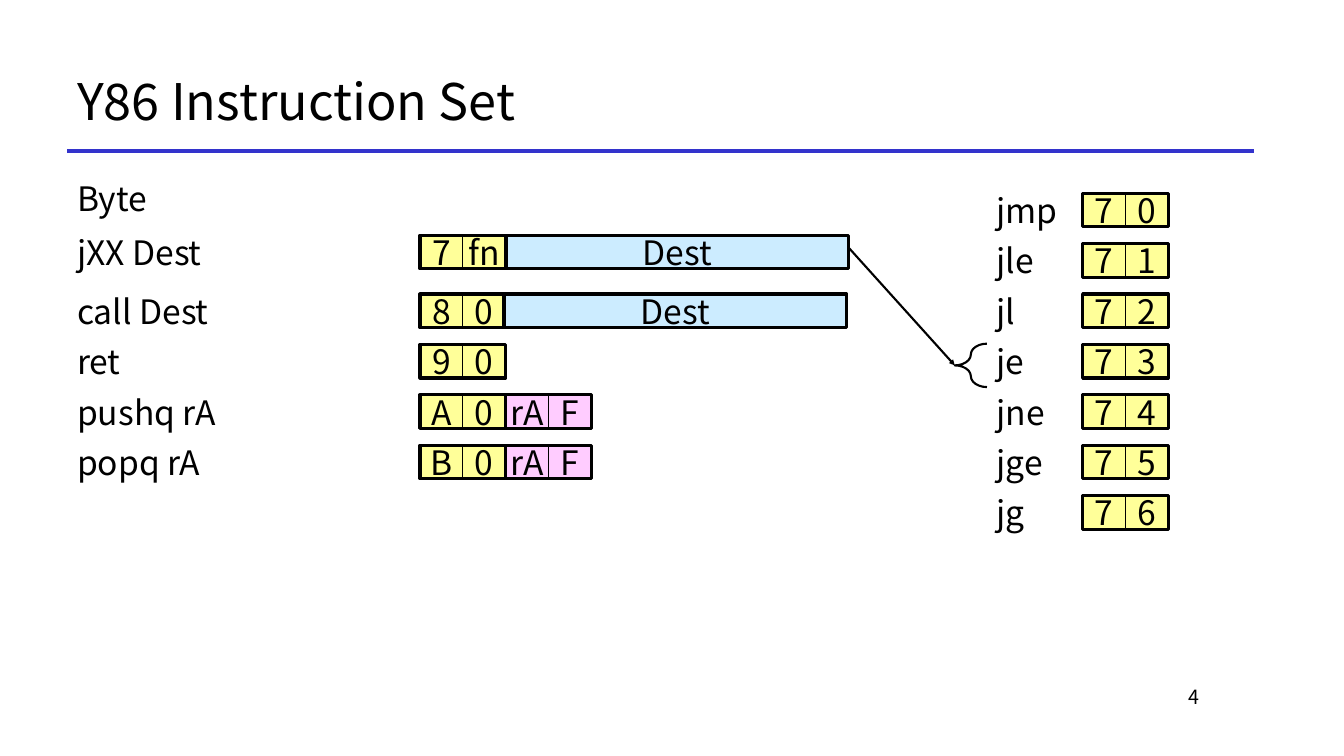
from pptx import Presentation
from pptx.dml.color import RGBColor
from pptx.enum.shapes import MSO_CONNECTOR as Conn, MSO_SHAPE as Form
from pptx.enum.text import MSO_ANCHOR as Anchor, PP_ALIGN as Align
from pptx.oxml.ns import qn
from pptx.util import Pt
from lxml.etree import SubElement as Sub


def tint(code):
    return RGBColor.from_string(code)


class Board:
    font = "Noto Sans CJK KR"
    ink = "000000"
    size = 24
    high = 24
    cell = 30.6

    def __init__(self, slide):
        self.shapes = slide.shapes

    def letter(self, frame, text, size, align, anchor, wrap):
        frame.word_wrap = wrap
        frame.vertical_anchor = anchor
        para = frame.paragraphs[0]
        para.text = text
        para.alignment = align
        para.font.name = self.font
        para.font.size = Pt(size)
        para.font.color.rgb = tint(self.ink)

    def text(self, x, y, w, h, text, size, align=Align.LEFT, anchor=Anchor.TOP):
        box = self.shapes.add_textbox(Pt(x), Pt(y), Pt(w), Pt(h))
        self.letter(box.text_frame, text, size, align, anchor, True)

    def shape(self, form, x, y, w, h, fill=None, width=None):
        item = self.shapes.add_shape(form, Pt(x), Pt(y), Pt(w), Pt(h))
        item.shadow.inherit = False
        if fill:
            item.fill.solid()
            item.fill.fore_color.rgb = tint(fill)
        else:
            item.fill.background()
        if width:
            item.line.color.rgb = tint(self.ink)
            item.line.width = Pt(width)
        else:
            item.line.fill.background()
        return item

    def label(self, x, y, text):
        item = self.shape(Form.RECTANGLE, x, y, 191.5, self.high, "FFFFFF")
        self.letter(item.text_frame, text, self.size, Align.LEFT, Anchor.MIDDLE, True)

    def field(self, x, y, w, text, fill, width):
        item = self.shape(Form.RECTANGLE, x, y, w, self.high, fill, width)
        self.letter(item.text_frame, text, self.size, Align.CENTER, Anchor.MIDDLE, False)

    def byte(self, x, y, pair, fill="FFFF99"):
        for i, text in enumerate(pair):
            self.field(x + i * self.cell, y, self.cell, text, fill, 0.5)
        self.shape(Form.RECTANGLE, x, y, 2 * self.cell, self.high, width=2.25)

    def dest(self, x, y):
        self.field(x, y, 244.8, "Dest", "CCECFF", 2.25)

    def brace(self, x, y, w, h):
        item = self.shape(Form.LEFT_BRACE, x, y, w, h, width=1.5)
        item.adjustments[0] = 1.08

    def line(self, x1, y1, x2, y2, color, width, arrow=False):
        item = self.shapes.add_connector(Conn.STRAIGHT, Pt(x1), Pt(y1), Pt(x2), Pt(y2))
        item.line.color.rgb = tint(color)
        item.line.width = Pt(width)
        props = item.element.spPr
        if arrow:
            Sub(props.find(qn("a:ln")), qn("a:tailEnd"), type="triangle", w="sm", len="sm")
        Sub(props, qn("a:effectLst"))


def main():
    deck = Presentation()
    deck.slide_width, deck.slide_height = Pt(960), Pt(540)
    board = Board(deck.slides.add_slide(deck.slide_layouts[6]))

    board.line(48, 108, 896, 108, "3333CC", 3)
    board.text(728, 486, 136, 36, "4", 14, Align.RIGHT)
    board.text(48, 36, 848, 72, "Y86 Instruction Set", 36, anchor=Anchor.MIDDLE)

    board.label(48, 129.6, "Byte")
    codes = [
        (168, "jXX Dest", ("7", "fn")),
        (210, "call Dest", ("8", "0")),
        (246, "ret", ("9", "0")),
        (282, "pushq rA", ("A", "0")),
        (318, "popq rA", ("B", "0")),
    ]
    for y, name, pair in codes:
        board.label(48, y, name)
        board.byte(300, y, pair)
        if name.endswith("rA"):
            board.byte(361.2, y, ("rA", "F"), "FFCCFF")
    board.dest(361.5, 168)
    board.dest(360, 210)

    for i, name in enumerate(("jmp", "jle", "jl", "je", "jne", "jge", "jg")):
        y = 138 + 36 * i
        board.label(704.8, y, name)
        board.byte(773.3, y, ("7", str(i)))

    board.brace(682, 245.5, 23, 31)
    board.line(606.3, 177, 682, 261, board.ink, 1.5, True)

    deck.save("out.pptx")


if __name__ == "__main__":
    main()
